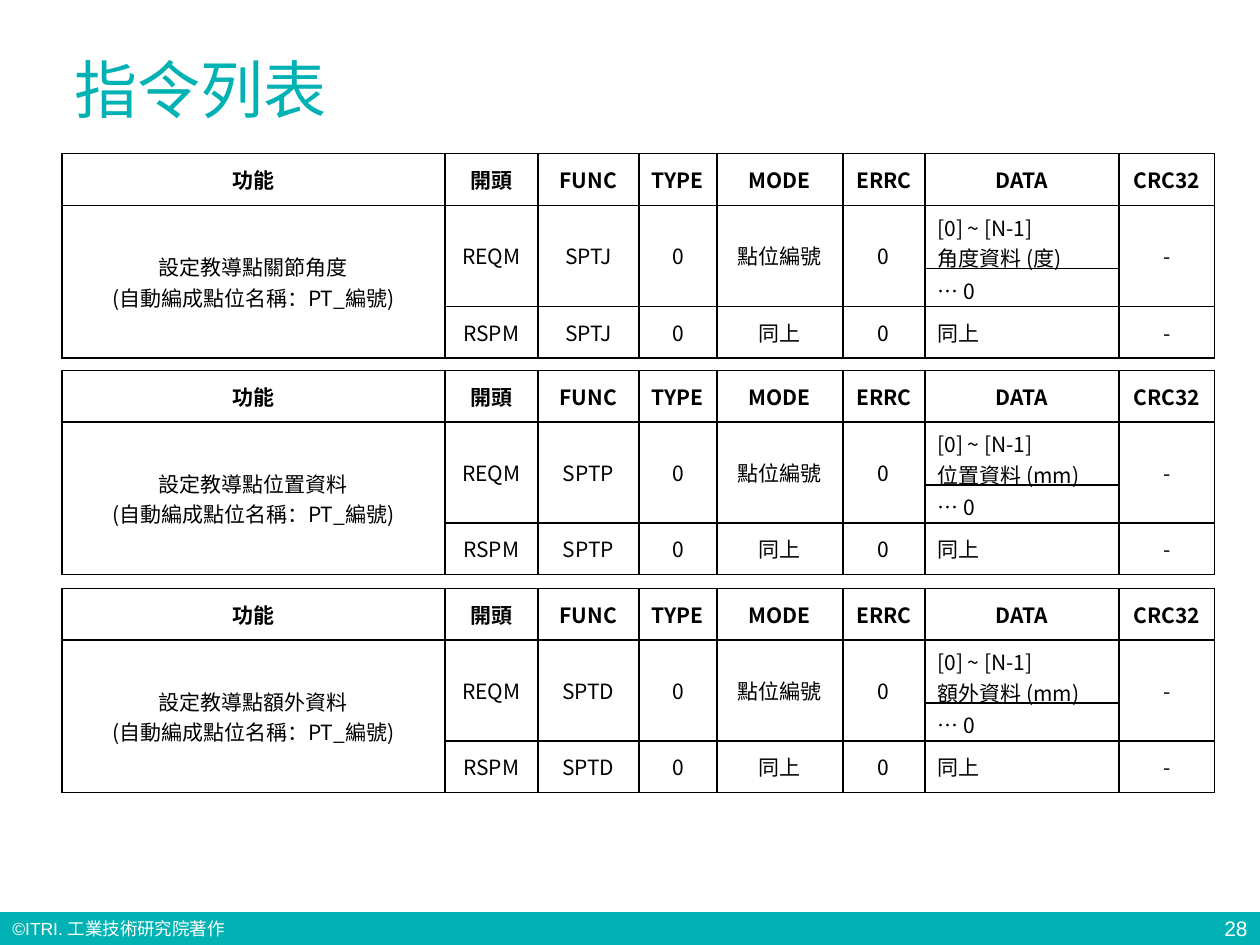
import dataclasses

import lxml.etree
import pptx
import pptx.dml.color
import pptx.enum.text
import pptx.oxml.ns
import pptx.util

ALIGN = pptx.enum.text.PP_ALIGN
ANCHOR = pptx.enum.text.MSO_ANCHOR
WIDTH, HEIGHT = 10, 7.5


@dataclasses.dataclass(frozen=True)
class Theme:
    accent: str = "00B2B3"
    ink: str = "000000"
    paper: str = "FFFFFF"
    latin: str = "Arial"
    cjk: str = "Noto Sans CJK SC"
    title: int = 36
    body: int = 12
    small: int = 10
    rule: int = 1


THEME = Theme()

COLUMNS = [3.04, 0.74, 0.8, 0.62, 1, 0.65, 1.54, 0.76]
ROWS = [0.41, 0.2, 0.2, 0.41]
HEADINGS = ["功能", "開頭", "FUNC", "TYPE", "MODE", "ERRC", "DATA", "CRC32"]
DATA_COLUMN = HEADINGS.index("DATA")
TABLE_LEFT = 0.49
# Top, function code, what is set, data, unit
COMMANDS = [
    (1.22, "SPTJ", "關節角度", "角度資料", "度"),
    (2.94, "SPTP", "位置資料", "位置資料", "mm"),
    (4.67, "SPTD", "額外資料", "額外資料", "mm"),
]


def rgb(code):
    return pptx.dml.color.RGBColor.from_string(code)


def inches(*lengths):
    return [pptx.util.Inches(length) for length in lengths]


def write(frame, text, size=THEME.body, font=THEME.cjk, color=THEME.ink,
          bold=False, align=ALIGN.LEFT):
    """Fill a text frame, one paragraph for each line of text."""
    frame.word_wrap = True
    frame.text = text
    for paragraph in frame.paragraphs:
        paragraph.alignment = align
        for run in paragraph.runs:
            run.font.size = pptx.util.Pt(size)
            run.font.name = font
            run.font.bold = bold
            run.font.color.rgb = rgb(color)


def add_text(slide, box, text, anchor=ANCHOR.TOP, **style):
    frame = slide.shapes.add_textbox(*inches(*box)).text_frame
    write(frame, text, **style)
    frame.vertical_anchor = anchor


def add_borders(cell):
    properties = cell._tc.get_or_add_tcPr()
    qn = pptx.oxml.ns.qn
    for position, side in enumerate(("a:lnL", "a:lnR", "a:lnT", "a:lnB")):
        line = lxml.etree.Element(qn(side), w=str(pptx.util.Pt(THEME.rule)))
        fill = lxml.etree.SubElement(line, qn("a:solidFill"))
        lxml.etree.SubElement(fill, qn("a:srgbClr"), val=THEME.ink)
        properties.insert(position, line)


def add_footer(slide, box):
    left, top, width, height = box
    band = slide.shapes.add_shape(
        pptx.enum.shapes.MSO_SHAPE.RECTANGLE, *inches(*box))
    band.shadow.inherit = False
    band.fill.solid()
    band.fill.fore_color.rgb = rgb(THEME.accent)
    band.line.fill.background()
    style = {"font": THEME.latin, "color": THEME.paper}
    add_text(slide, (left, top, 0.39 * width, height),
             "©ITRI. 工業技術研究院著作", size=THEME.small, **style)
    number_width = 0.062 * width
    add_text(slide, (left + width - number_width, top, number_width, height),
             "28", anchor=ANCHOR.MIDDLE, align=ALIGN.RIGHT, **style)


def add_command_table(slide, box, code, target, data, unit):
    table = slide.shapes.add_table(
        len(ROWS), len(COLUMNS), *inches(*box)).table
    for column, width in zip(table.columns, COLUMNS):
        column.width = pptx.util.Inches(width)
    for row, height in zip(table.rows, ROWS):
        row.height = pptx.util.Inches(height)

    # The request takes two rows, with its data split between them
    contents = [
        HEADINGS,
        [f"設定教導點{target}\n(自動編成點位名稱：PT_編號)", "REQM", code, "0",
         "點位編號", "0", f"[0] ~ [N-1]\n{data} ({unit})", "-"],
        [""] * DATA_COLUMN + ["… 0", ""],
        ["", "RSPM", code, "0", "同上", "0", "同上", "-"],
    ]
    for r, texts in enumerate(contents):
        for c, text in enumerate(texts):
            cell = table.cell(r, c)
            cell.fill.background()
            cell.vertical_anchor = ANCHOR.MIDDLE
            add_borders(cell)
            if text:
                left_aligned = r > 0 and c == DATA_COLUMN
                write(cell.text_frame, text, bold=r == 0,
                      align=ALIGN.LEFT if left_aligned else ALIGN.CENTER)

    # The function covers both messages; other request cells cover two rows
    for c in range(len(COLUMNS)):
        if c != DATA_COLUMN:
            table.cell(1, c).merge(table.cell(3 if c == 0 else 2, c))


def main():
    deck = pptx.Presentation()
    deck.slide_width, deck.slide_height = inches(WIDTH, HEIGHT)
    slide = deck.slides.add_slide(deck.slide_layouts[6])

    add_footer(slide, (0, 7.24, WIDTH, 0.26))
    add_text(slide, (TABLE_LEFT, 0.35, sum(COLUMNS), 0.97), "指令列表",
             size=THEME.title, font=THEME.latin, color=THEME.accent)
    for top, *command in COMMANDS:
        add_command_table(
            slide, (TABLE_LEFT, top, sum(COLUMNS), sum(ROWS)), *command)

    deck.save("out.pptx")


if __name__ == "__main__":
    main()
